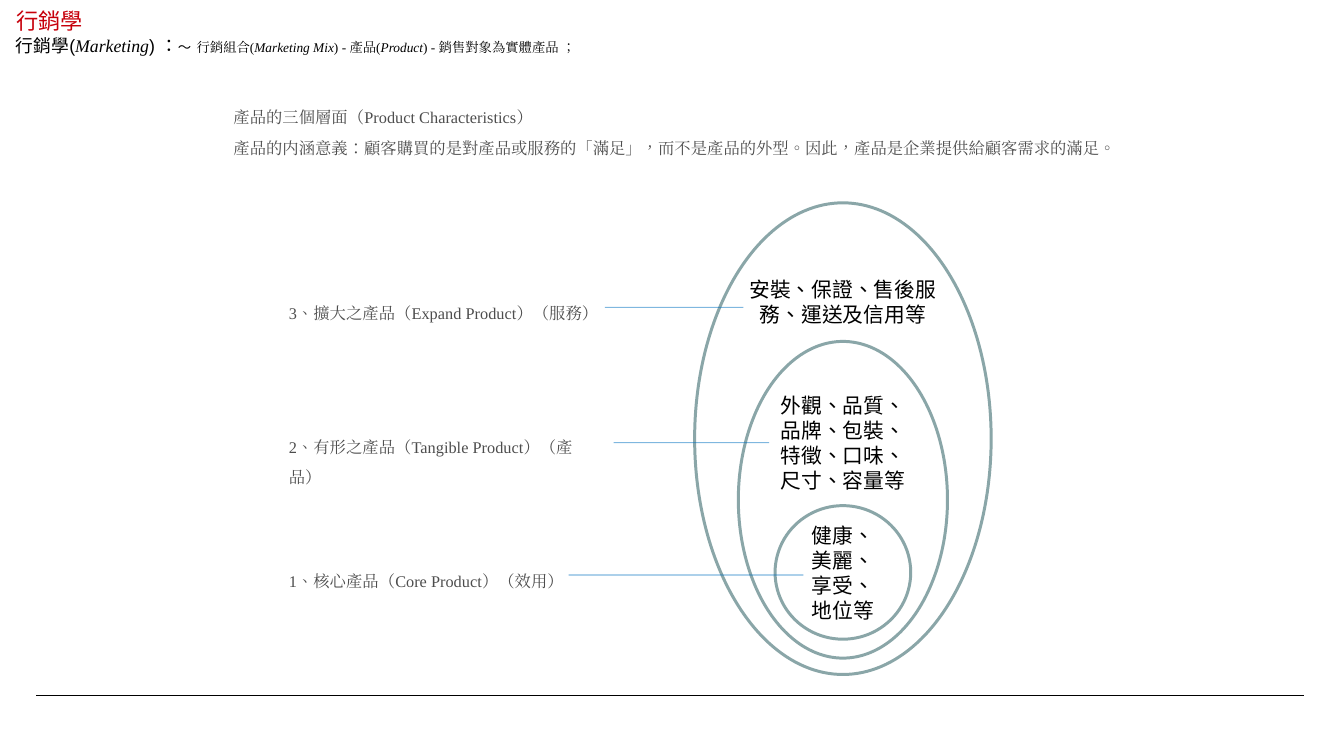
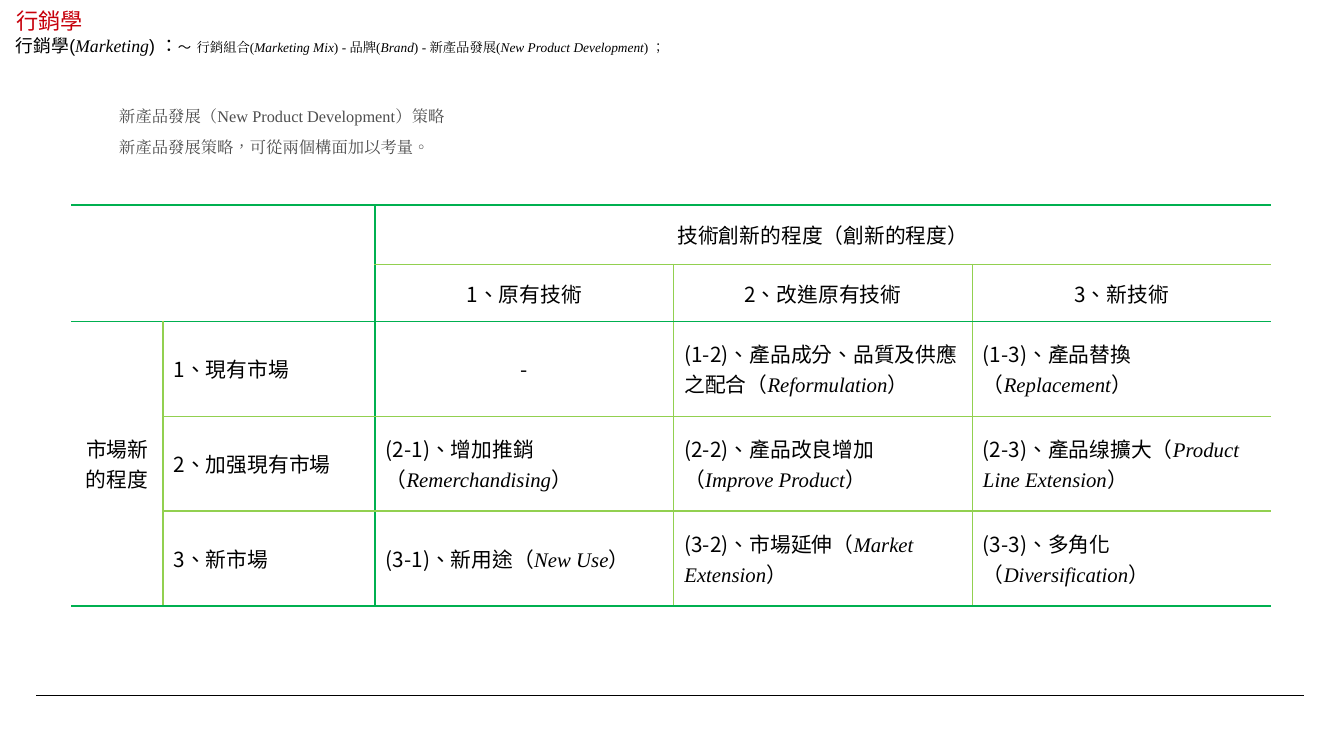
from lxml.etree import SubElement
from pptx import Presentation
from pptx.dml.color import RGBColor
from pptx.enum.shapes import MSO_CONNECTOR, MSO_SHAPE
from pptx.enum.text import MSO_ANCHOR, MSO_AUTO_SIZE, PP_ALIGN
from pptx.oxml import parse_xml
from pptx.oxml.ns import nsdecls, qn
from pptx.util import Cm, Pt

HUES = {"red": "C7000B", "ink": "000000", "gray": "4D4D4D", "ring": "8AA6A8",
        "blue": "0070C0", "green": "00B050", "lime": "92D050"}
SANS, SERIF, CJK = "Arial", "Times New Roman", "Noto Sans CJK SC"
HEAD = {"name": SANS, "size": Pt(15)}
SUB = {"name": SANS, "size": Pt(12)}
TILDE = {"name": SANS, "size": Pt(9)}
GAP = {"name": SANS, "size": Pt(13)}
TRAIL = {"name": SERIF, "size": Pt(9)}
BODY = {"name": SERIF, "size": Pt(11)}
CELL = {"name": CJK, "size": Pt(14)}


def write(par, text, look, hue="ink"):
    """Add runs to a paragraph; text between asterisks is italic serif."""
    for i, part in enumerate(text.split("*")):
        if not part:
            continue
        run = par.add_run()
        run.text = part
        style = dict(look, italic=True, name=SERIF) if i % 2 else look
        for key, val in style.items():
            setattr(run.font, key, val)
        run.font.color.rgb = RGBColor.from_string(HUES[hue])
        props = run.font._element
        props.set("lang", "zh-TW")
        SubElement(props, qn("a:ea")).set("typeface", style["name"])


def rule(slide, x1, x2, y, hue, width, alpha=None):
    """Draw a level line, optionally see-through."""
    line = slide.shapes.add_connector(MSO_CONNECTOR.STRAIGHT, Cm(x1), Cm(y), Cm(x2), Cm(y))
    line.line.color.rgb = RGBColor.from_string(HUES[hue])
    line.line.width = Pt(width)
    SubElement(line._element.spPr, qn("a:effectLst"))
    if alpha:
        tint = line._element.spPr.find(".//" + qn("a:srgbClr"))
        SubElement(tint, qn("a:alpha")).set("val", str(alpha * 1000))


deck = Presentation()
deck.slide_width, deck.slide_height = Cm(32), Cm(18)

# Shared heading, trail, intro text and footer line
PAGES = [
    ("行銷組合(*Marketing Mix*) - 產品(*Product*) - 銷售對象為實體產品 ；",
     (5.31, 2.18, 23.62),
     ["產品的三個層面（Product Characteristics）",
      "產品的内涵意義：顧客購買的是對產品或服務的「滿足」，而不是產品的外型。因此，產品是企業提供給顧客需求的滿足。"]),
    ("行銷組合(*Marketing Mix*) - 品牌(*Brand*) - 新產品發展(*New Product Development*) ；",
     (2.59, 2.16, 27.56),
     ["新產品發展（New Product Development）策略",
      "新產品發展策略，可從兩個構面加以考量。"]),
]
slides = []
for trail, (left, top, wide), intro in PAGES:
    slide = deck.slides.add_slide(deck.slide_layouts[5])
    slides.append(slide)
    rule(slide, 0.86, 31.04, 16.56, "ink", 0.5)

    title = slide.shapes.title
    title.left, title.top, title.width, title.height = Cm(0.13), Cm(0.18), Cm(23.67), Cm(0.61)
    frame = title.text_frame
    frame.auto_size = MSO_AUTO_SIZE.NONE
    frame.vertical_anchor = MSO_ANCHOR.MIDDLE
    frame.paragraphs[0].alignment = PP_ALIGN.LEFT
    write(frame.paragraphs[0], "行銷學", HEAD, "red")

    frame = slide.shapes.add_textbox(Cm(0.13), Cm(0.66), Cm(26.49), Cm(0.81)).text_frame
    frame.word_wrap = True
    for text, look in [("行銷學(*Marketing*) ：", SUB), ("～", TILDE), (" ", GAP), (trail, TRAIL)]:
        write(frame.paragraphs[0], text, look)

    frame = slide.shapes.add_textbox(Cm(left), Cm(top), Cm(wide), Cm(1.57)).text_frame
    frame.word_wrap = True
    for i, text in enumerate(intro):
        par = frame.add_paragraph() if i else frame.paragraphs[0]
        par.line_spacing = 1.55
        write(par, text, BODY, "gray")

# Slide 1: nested rings, inner to outer, around one vertical axis
levels, plan = slides
AXIS = 20.07
RINGS = [
    (12.04, 3.23, 3.18, MSO_ANCHOR.MIDDLE, "健康、美麗、享受、地位等"),
    (8.13, 4.98, 7.54, MSO_ANCHOR.TOP, "外觀、品質、品牌、包裝、特徵、口味、尺寸、容量等"),
    (4.83, 7.06, 11.23, MSO_ANCHOR.TOP, "安裝、保證、售後服務、運送及信用等"),
]
for top, wide, high, anchor, text in RINGS:
    ring = levels.shapes.add_shape(MSO_SHAPE.OVAL, Cm(AXIS - wide / 2), Cm(top), Cm(wide), Cm(high))
    ring.shadow.inherit = False
    ring.fill.background()
    ring.line.color.rgb = RGBColor.from_string(HUES["ring"])
    ring.line.width = Pt(2)
    frame = ring.text_frame
    frame.word_wrap = True
    frame.vertical_anchor = anchor
    par = frame.paragraphs[0]
    par.alignment = PP_ALIGN.CENTER
    par.line_spacing = Pt(16.8)
    write(par, text, CELL)

# Labels and their lines into the rings
LABELS = [
    (13.21, "1、核心產品（Core Product）（效用）", 13.54, 19.13, 13.69),
    (10.03, "2、有形之產品（Tangible Product）（產品）", 14.61, 18.31, 10.54),
    (6.83, "3、擴大之產品（Expand Product）（服務）", 14.4, 17.7, 7.32),
]
for top, text, x1, x2, y in LABELS:
    frame = levels.shapes.add_textbox(Cm(6.63), Cm(top), Cm(7.98), Cm(0.86)).text_frame
    frame.word_wrap = True
    frame.paragraphs[0].line_spacing = 1.55
    write(frame.paragraphs[0], text, BODY, "gray")
    rule(levels, x1, x2, y, "blue", 0.75, 50)

# Slide 2: strategy table
ROWS = [
    ["", "", "技術創新的程度（創新的程度）", "", ""],
    ["", "", "1、原有技術", "2、改進原有技術", "3、新技術"],
    ["市場新的程度", "1、現有市場", "-", "(1-2)、產品成分、品質及供應之配合（*Reformulation*）",
     "(1-3)、產品替換（*Replacement*）"],
    ["", "2、加强現有市場", "(2-1)、增加推銷（*Remerchandising*）",
     "(2-2)、產品改良增加（*Improve Product*）", "(2-3)、產品缐擴大（*Product Line Extension*）"],
    ["", "3、新市場", "(3-1)、新用途（*New Use*）", "(3-2)、市場延伸（*Market Extension*）",
     "(3-3)、多角化（*Diversification*）"],
]
COLS = [2.18, 5.05] + [7.11] * 3
HIGHS = [1.42, 1.35] + [2.26] * 3
# Line colour at each column and row boundary
VERT = [None, "lime", "green", "lime", "lime", None]
HORZ = ["green", "lime", "green", "lime", "lime", "green"]

grid = plan.shapes.add_table(5, 5, Cm(1.7), Cm(4.88), Cm(sum(COLS)), Cm(sum(HIGHS))).table
grid.first_row = grid.horz_banding = False
# Plain table style without lines
grid._tbl.tblPr.find(qn("a:tableStyleId")).text = "{2D5ABB26-0587-4C30-8999-92F81FD0307C}"
for col, wide in zip(grid.columns, COLS):
    col.width = Cm(wide)
for row, high in zip(grid.rows, HIGHS):
    row.height = Cm(high)
for start, end in [((0, 0), (1, 1)), ((0, 2), (0, 4)), ((2, 0), (4, 0))]:
    grid.cell(*start).merge(grid.cell(*end))

for y, row in enumerate(ROWS):
    for x, text in enumerate(row):
        cell = grid.cell(y, x)
        cell.fill.background()
        cell.vertical_anchor = MSO_ANCHOR.MIDDLE
        high = cell.span_height if cell.is_merge_origin else 1
        wide = cell.span_width if cell.is_merge_origin else 1
        edges = {"lnL": VERT[x], "lnR": VERT[x + wide], "lnT": HORZ[y], "lnB": HORZ[y + high]}
        props = cell._tc.get_or_add_tcPr()
        for i, (tag, hue) in enumerate(edges.items()):
            # Covered cells carry only the outer green lines
            if hue is None or (cell.is_spanned and hue == "lime"):
                fill = "<a:noFill/>"
            else:
                fill = f'<a:solidFill><a:srgbClr val="{HUES[hue]}"/></a:solidFill>'
            props.insert(i, parse_xml(f'<a:{tag} {nsdecls("a")} w="12700">{fill}</a:{tag}>'))
        if text:
            par = cell.text_frame.paragraphs[0]
            if y < 2 or x == 0 or text == "-":
                par.alignment = PP_ALIGN.CENTER
            write(par, text, CELL)

deck.save("out.pptx")
